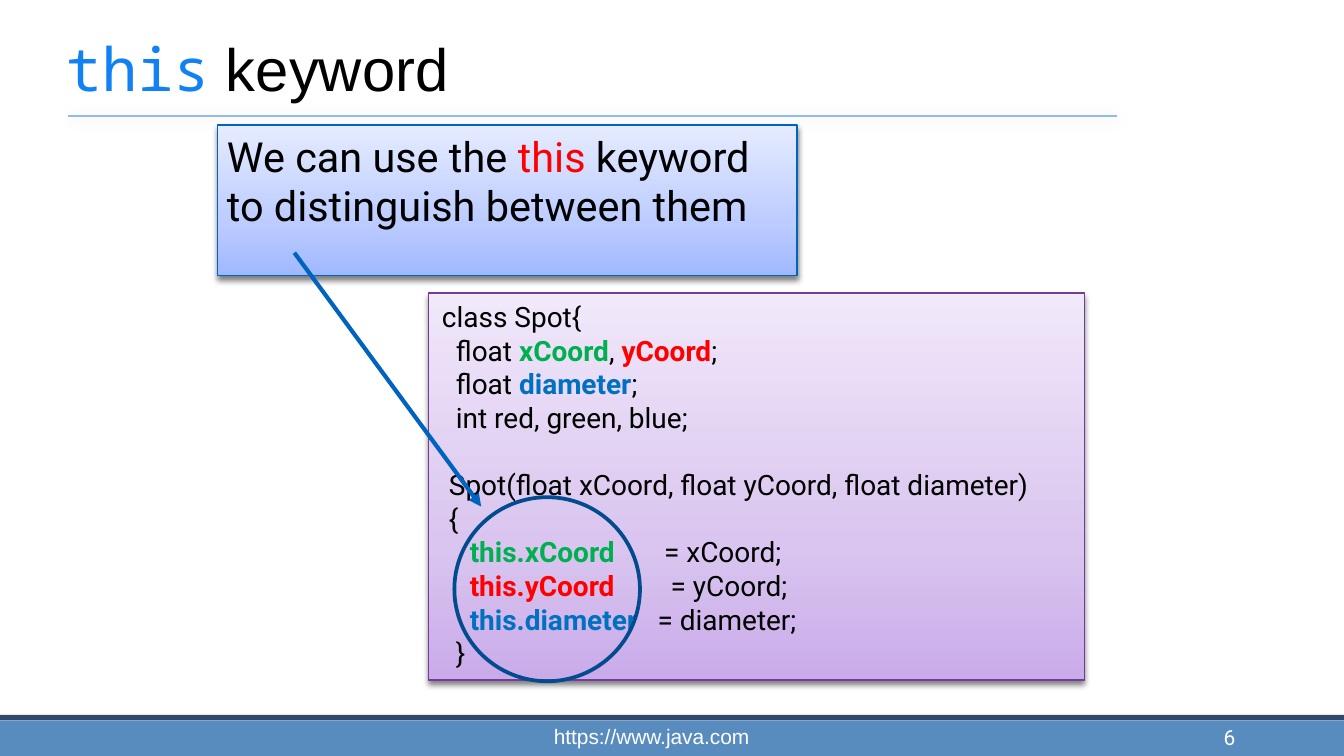
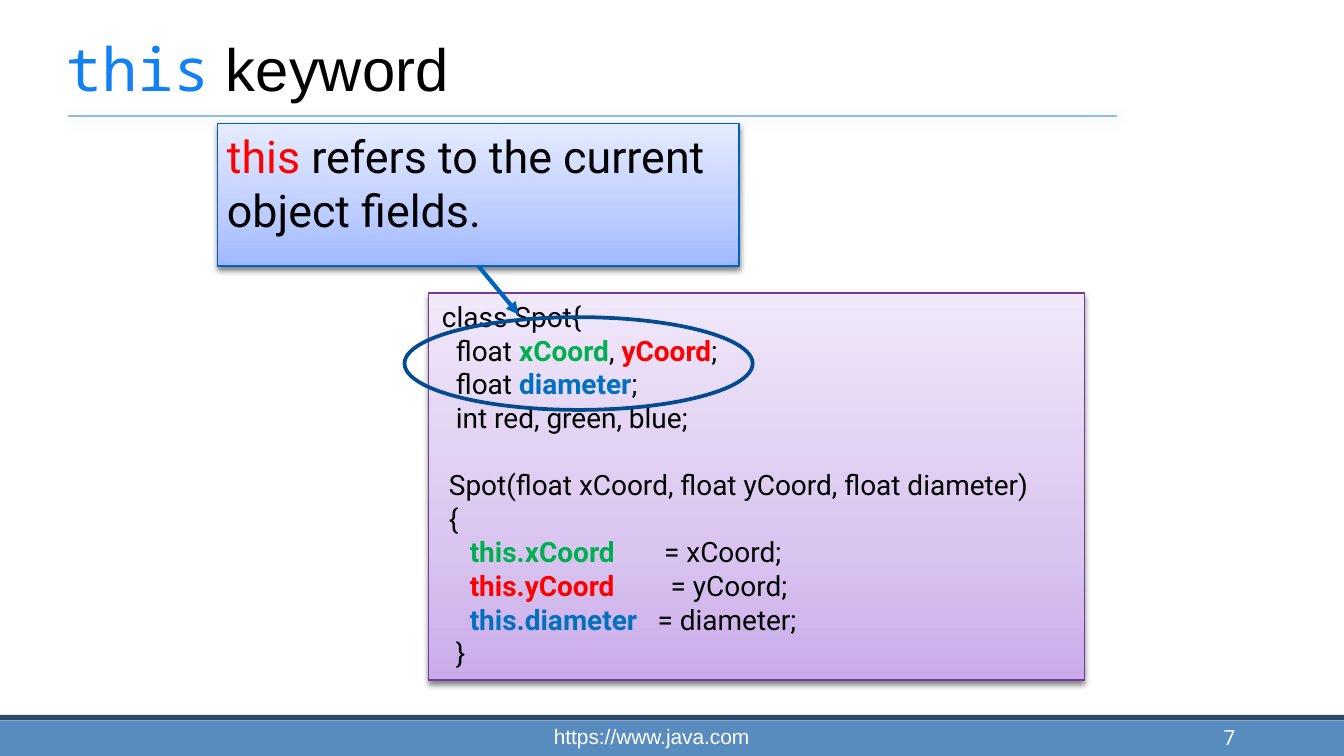
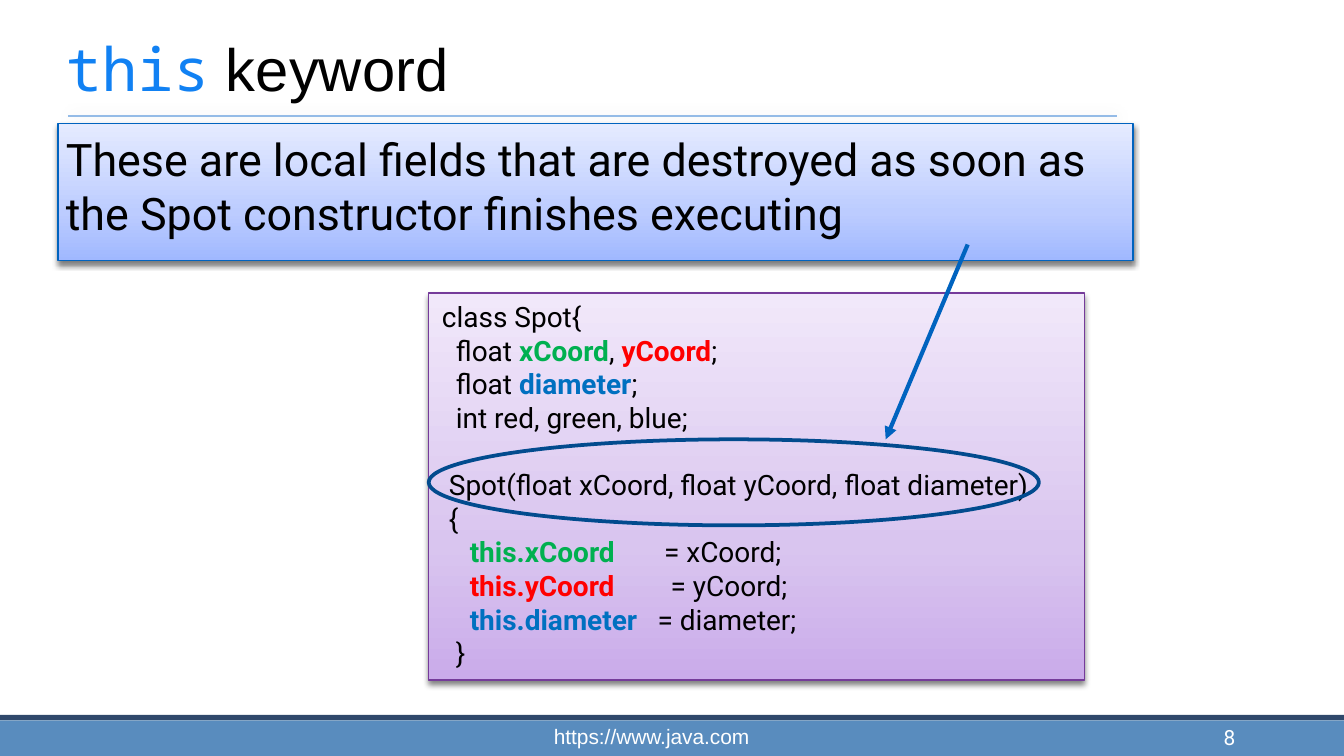
from dataclasses import dataclass

from lxml import etree
from pptx import Presentation
from pptx.dml.color import RGBColor
from pptx.enum.shapes import MSO_CONNECTOR, MSO_SHAPE
from pptx.enum.text import MSO_ANCHOR, PP_ALIGN
from pptx.oxml.ns import qn
from pptx.util import Pt

RECT, OVAL = MSO_SHAPE.RECTANGLE, MSO_SHAPE.OVAL
STRAIGHT = MSO_CONNECTOR.STRAIGHT
TOP, BOTTOM = MSO_ANCHOR.TOP, MSO_ANCHOR.BOTTOM
LEFT, CENTER, RIGHT = PP_ALIGN.LEFT, PP_ALIGN.CENTER, PP_ALIGN.RIGHT
BOTTOM_SITE = 2


@dataclass(frozen=True)
class Theme:
    text: str = "000000"
    white: str = "FFFFFF"
    keyword: str = "1181F3"
    red: str = "FF0000"
    green: str = "00B050"
    blue: str = "0070C0"
    band: str = "598CBE"
    band_edge: str = "2F486B"
    rule: str = "94BBE7"
    accent: str = "0063BF"
    ring: str = "024B8E"
    code_line: str = "753B9A"
    code_fill: tuple = ((0, "CAABEA"), (35, "D9C5EF"), (100, "F1E8FA"))
    note_fill: tuple = ((0, "A0B8FF"), (35, "BCCCFF"), (100, "E5EBFF"))
    # colour, opacity %, blur, distance, direction
    box_shadow: tuple = ("000000", 50, 3, 2, 90)
    rule_shadow: tuple = ("003D62", 20, 8, 1, 45)
    body_font: str = "Roboto"
    head_font: str = "Arial"
    mono_font: str = "Noto Sans Mono"
    title_size: float = 32
    note_size: float = 24
    code_size: float = 15
    footer_size: float = 11.2


T = Theme()
CODE_GAP = 18

# Each line: spans, space before, tab stop
CODE = [
    (["class Spot{"], 0, None),
    (["  float ", ("xCoord", T.green), ", ", ("yCoord", T.red), ";"], 0, None),
    (["  float ", ("diameter", T.blue), ";"], 0, None),
    (["  int red, green, blue;"], 0, None),
    ([" Spot(float xCoord, float yCoord, float diameter)"], CODE_GAP, None),
    ([" {"], 0, None),
    (["    ", ("this.xCoord", T.green), "\t= xCoord;"], 0, 119),
    (["    ", ("this.yCoord", T.red), "\t= yCoord;"], 0, 122.5),
    (["    ", ("this.diameter", T.blue), "\t= diameter;"], 0, 115.5),
    (["  }"], 0, None),
]

# An arrow without a start begins at the bottom of its note
SLIDES = [
    dict(note=["We can use the ", ("this", T.red),
               " keyword to distinguish between them"],
         box=(116.6, 67, 310.3, 80.6), size=22.2, insets=(5, 3), line=0.75,
         ring=(243.4, 266.4, 99.4, 98.6),
         start=(157.7, 135.4), end=(257.8, 271.4)),
    dict(note=[("this", T.red), " refers to the current object fields."],
         box=(116.6, 66.2, 279.4, 76.3), size=T.note_size, insets=(5, 3),
         line=0.75, ring=(216.7, 169.9, 186.5, 49.7),
         start=None, end=(277.9, 168.5)),
    dict(note=["These are local fields that are destroyed as soon as "
               "the Spot constructor finishes executing"],
         box=(31, 66.2, 576, 73.4), size=T.note_size, insets=(4.3, 4.3),
         line=1, ring=(229.7, 235.4, 326.9, 46.1),
         start=(518.4, 131), end=(474.5, 235.4)),
]


def rgb(color):
    return RGBColor.from_string(color)


def pts(values):
    return [Pt(v) for v in values]


# Effects and fills
def add_shadow(effects, color, opacity, blur, dist, angle):
    shadow = etree.SubElement(
        effects, qn("a:outerShdw"), blurRad=str(Pt(blur)), dist=str(Pt(dist)),
        dir=str(angle * 60000), algn="ctr", rotWithShape="0")
    clr = etree.SubElement(shadow, qn("a:srgbClr"), val=color)
    etree.SubElement(clr, qn("a:alpha"), val=str(opacity * 1000))


def set_gradient(sp, stops):
    sp.fill.gradient()
    sp.fill.gradient_angle = 90
    stop_list = sp._element.spPr.find(".//" + qn("a:gsLst"))
    for old in list(stop_list):
        stop_list.remove(old)
    for pos, color in stops:
        stop = etree.SubElement(stop_list, qn("a:gs"), pos=str(pos * 1000))
        etree.SubElement(stop, qn("a:srgbClr"), val=color)


# Text
def add_spans(p, spans, size, color=T.text, font=T.body_font, bold=False):
    """Write plain strings and (text, colour) highlights as runs."""
    for span in spans:
        marked = isinstance(span, tuple)
        r = p.add_run()
        r.text = span[0] if marked else span
        r.font.name = font
        r.font.size = Pt(size)
        r.font.bold = bold and marked
        r.font.color.rgb = rgb(span[1] if marked else color)


def setup_frame(tf, insets, anchor=TOP):
    tf.word_wrap = True
    tf.vertical_anchor = anchor
    tf.margin_left = tf.margin_right = Pt(insets[0])
    tf.margin_top = tf.margin_bottom = Pt(insets[1])


def add_label(slide, box, insets, align):
    tf = slide.shapes.add_textbox(*pts(box)).text_frame
    setup_frame(tf, insets, BOTTOM)
    p = tf.paragraphs[0]
    p.alignment = align
    return p


# Shapes
def add_band(slide, box, color):
    sp = slide.shapes.add_shape(RECT, *pts(box))
    sp.shadow.inherit = False
    sp.fill.solid()
    sp.fill.fore_color.rgb = rgb(color)
    sp.line.fill.background()


def add_panel(slide, box, stops, line, width, insets):
    sp = slide.shapes.add_shape(RECT, *pts(box))
    set_gradient(sp, stops)
    sp.line.color.rgb = rgb(line)
    sp.line.width = Pt(width)
    sp.shadow.inherit = False
    add_shadow(sp._element.spPr.find(qn("a:effectLst")), *T.box_shadow)
    setup_frame(sp.text_frame, insets)
    return sp


def add_line(slide, start, end, color, width):
    cxn = slide.shapes.add_connector(STRAIGHT, *pts(start + end))
    cxn.line.color.rgb = rgb(color)
    cxn.line.width = Pt(width)
    effects = etree.SubElement(cxn._element.spPr, qn("a:effectLst"))
    return cxn, effects


def add_arrow(slide, note, start, end):
    cxn, _ = add_line(slide, start or end, end, T.accent, 2.25)
    if start is None:
        cxn.begin_connect(note, BOTTOM_SITE)
    etree.SubElement(cxn.line._get_or_add_ln(), qn("a:tailEnd"), type="triangle")


def add_ring(slide, box):
    sp = slide.shapes.add_shape(OVAL, *pts(box))
    sp.shadow.inherit = False
    sp.fill.background()
    sp.line.color.rgb = rgb(T.ring)
    sp.line.width = Pt(2)


# Slide parts
def add_frame(slide, number):
    add_band(slide, (0, 385.9, 720, 19.1), T.band)
    add_band(slide, (0, 383, 720, 2.9), T.band_edge)
    _, effects = add_line(slide, (36.7, 62), (598.3, 62), T.rule, 1)
    add_shadow(effects, *T.rule_shadow)

    p = add_label(slide, (31, 0, 612, 59.8), (4.3, 4.3), LEFT)
    add_spans(p, ["this"], T.title_size, T.keyword, T.mono_font)
    add_spans(p, [" keyword"], T.title_size, font=T.head_font)

    p = add_label(slide, (253.4, 385.2, 191.5, 18.7), (5.8, 2.9), CENTER)
    add_spans(p, ["https://www.java.com"], T.footer_size, T.white, T.head_font)
    p = add_label(slide, (516.2, 383.8, 149.8, 22.3), (4.3, 4.3), RIGHT)
    add_spans(p, [str(number)], T.footer_size, T.white)


def add_code(slide):
    sp = add_panel(slide, (229.7, 157, 351.4, 207.4), T.code_fill,
                   T.code_line, 0.75, (7.2, 3.6))
    tf = sp.text_frame
    for i, (spans, gap, tab) in enumerate(CODE):
        p = tf.add_paragraph() if i else tf.paragraphs[0]
        p.alignment = LEFT
        if gap:
            p.space_before = Pt(gap)
        if tab:
            tabs = etree.SubElement(p._p.get_or_add_pPr(), qn("a:tabLst"))
            etree.SubElement(tabs, qn("a:tab"), pos=str(Pt(tab)), algn="l")
        add_spans(p, spans, T.code_size, bold=True)


def add_note(slide, item):
    sp = add_panel(slide, item["box"], T.note_fill, T.accent, item["line"],
                   item["insets"])
    p = sp.text_frame.paragraphs[0]
    p.alignment = LEFT
    add_spans(p, item["note"], item["size"])
    return sp


def main():
    prs = Presentation()
    prs.slide_width, prs.slide_height = Pt(720), Pt(405)
    for number, item in enumerate(SLIDES, start=6):
        slide = prs.slides.add_slide(prs.slide_layouts[6])
        add_frame(slide, number)
        add_code(slide)
        note = add_note(slide, item)
        add_ring(slide, item["ring"])
        add_arrow(slide, note, item["start"], item["end"])
    prs.save("out.pptx")


if __name__ == "__main__":
    main()
